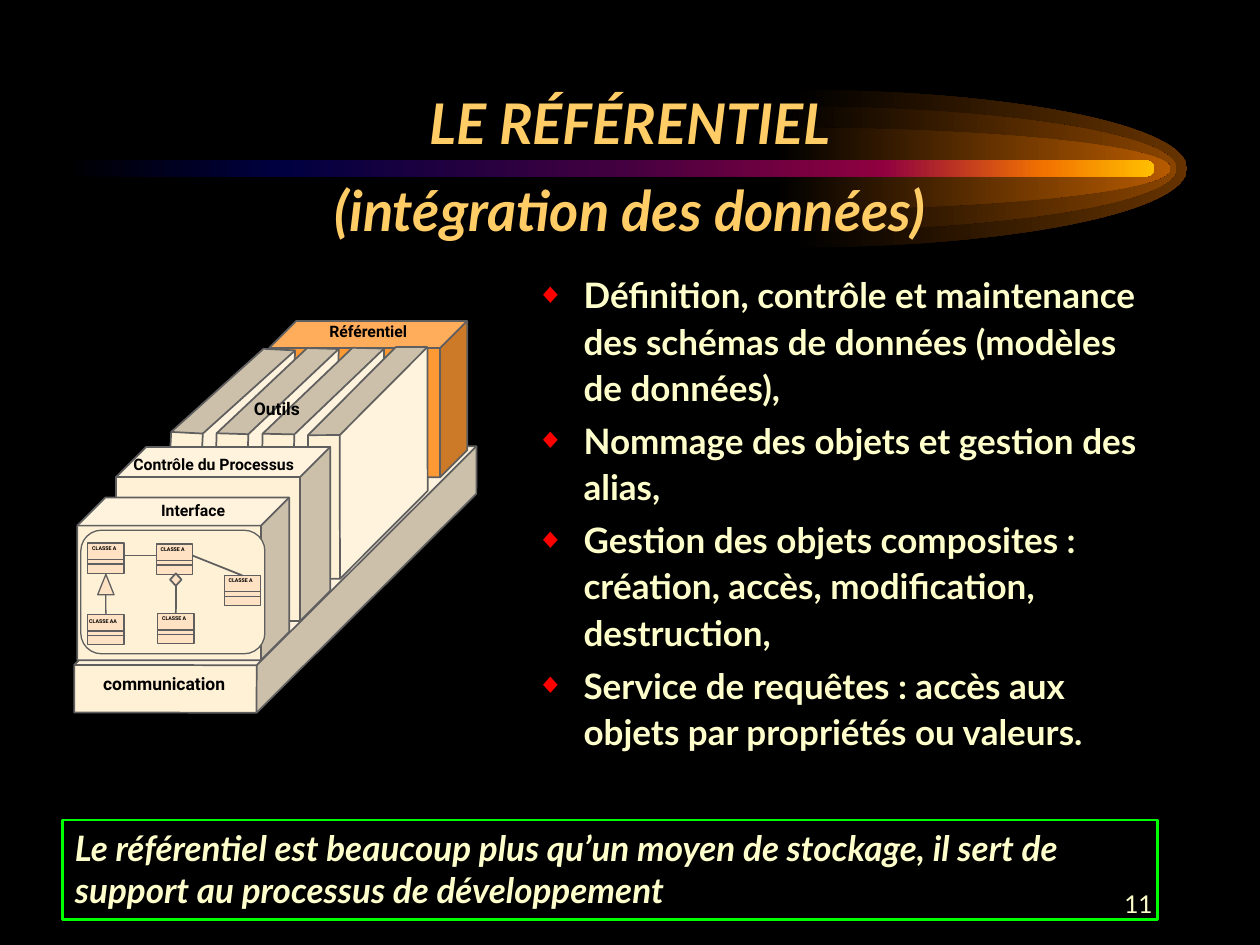
"""Build the slide on the repository and data integration."""
from lxml.etree import SubElement
from pptx import Presentation
from pptx.dml.color import RGBColor
from pptx.enum.shapes import MSO_CONNECTOR, MSO_SHAPE
from pptx.enum.text import MSO_ANCHOR, MSO_AUTO_SIZE, PP_ALIGN
from pptx.oxml.ns import qn
from pptx.util import Cm, Pt

CREAM, PEACH, GREY, PALE = "FFF1D5", "FFE1C3", "5F5F5F", "FFFFCC"


def rgb(value):
    return RGBColor.from_string(value)


class Deck:
    def __init__(self):
        self.prs = Presentation()
        self.prs.slide_width, self.prs.slide_height = Cm(25.4), Cm(19.05)
        self.s = self.prs.slides.add_slide(self.prs.slide_layouts[1])
        fill = self.s.background.fill
        fill.solid()
        fill.fore_color.rgb = rgb("000000")

    def gradient(self, sp, stops):
        sp.shadow.inherit = False
        sp.line.fill.background()
        sp.fill.gradient()
        sp.fill.gradient_angle = 0
        gs_list = sp._element.spPr.find(qn("a:gradFill")).find(qn("a:gsLst"))
        gs_list.clear()
        for pos, color in stops:
            gs = SubElement(gs_list, qn("a:gs"), pos=str(pos * 1000))
            SubElement(gs, qn("a:srgbClr"), val=color)

    def half_ellipse(self, x, y, rx, ry, color):
        builder = self.s.shapes.build_freeform(Cm(x), Cm(y - ry))
        builder.add_line_segments([(Cm(x + rx), Cm(y)), (Cm(x), Cm(y + ry))])
        sp = builder.convert_to_shape()
        outline = next(sp._element.iter(qn("a:path")))
        k = 0.55
        curves = ([(k, 0), (1, 1 - k), (1, 1)], [(1, 1 + k), (k, 2), (0, 2)])
        for segment, curve in zip(outline.findall(qn("a:lnTo")), curves):
            bezier = SubElement(outline, qn("a:cubicBezTo"))
            for px, py in curve:
                SubElement(bezier, qn("a:pt"), x=str(Cm(px * rx)), y=str(Cm(py * ry)))
            outline.replace(segment, bezier)
        self.gradient(sp, [(0, "000000"), (100, color)])

    def shape(self, kind, x, y, w, h, fill=None, line=GREY, width=1, adj=None, rot=0, flip=False):
        sp = self.s.shapes.add_shape(kind, Cm(x), Cm(y), Cm(w), Cm(h))
        sp.shadow.inherit = False
        if fill:
            sp.fill.solid()
            sp.fill.fore_color.rgb = rgb(fill)
        else:
            sp.fill.background()
        sp.line.color.rgb = rgb(line)
        sp.line.width = Pt(width)
        if adj is not None:
            sp.adjustments[0] = adj
        sp.rotation = rot
        if flip:
            sp._element.spPr.xfrm.set("flipV", "1")
        return sp

    def cube(self, x, y, w, h, adj=0.173, fill=CREAM, **kw):
        return self.shape(MSO_SHAPE.CUBE, x, y, w, h, fill, adj=adj, **kw)

    def line(self, x1, y1, x2, y2, width=0.75, begin=None, end=None):
        cn = self.s.shapes.add_connector(MSO_CONNECTOR.STRAIGHT, Cm(x1), Cm(y1), Cm(x2), Cm(y2))
        cn.line.color.rgb = rgb(GREY)
        cn.line.width = Pt(width)
        SubElement(cn._element.spPr, qn("a:effectLst"))
        if begin:
            cn.begin_connect(*begin)
        if end:
            cn.end_connect(*end)

    def run(self, p, text, size, color, font="Lato", bold=True, italic=False):
        r = p.add_run()
        r.text = text
        r.font.size, r.font.name = Pt(size), font
        r.font.bold, r.font.italic = bold, italic
        r.font.color.rgb = rgb(color)

    def text(self, x, y, w, h, text, size=9, color="000000", font="Roboto", bold=True,
             align=PP_ALIGN.LEFT, anchor=MSO_ANCHOR.TOP, inset=True):
        tf = self.s.shapes.add_textbox(Cm(x), Cm(y), Cm(w), Cm(h)).text_frame
        tf.word_wrap = False
        tf.vertical_anchor = anchor
        if not inset:
            tf.margin_left = tf.margin_right = tf.margin_top = tf.margin_bottom = 0
        p = tf.paragraphs[0]
        p.alignment = align
        self.run(p, text, size, color, font, bold)

    def placeholder(self, idx, x, y, w, h):
        sp = self.s.placeholders[idx]
        sp.left, sp.top, sp.width, sp.height = Cm(x), Cm(y), Cm(w), Cm(h)
        self.s.shapes._spTree.append(sp._element)
        tf = sp.text_frame
        tf.word_wrap = True
        tf.auto_size = MSO_AUTO_SIZE.NONE
        tf.vertical_anchor = MSO_ANCHOR.TOP
        return tf

    def title(self, lines, *box):
        p = self.placeholder(0, *box).paragraphs[0]
        p.alignment = PP_ALIGN.CENTER
        p.line_spacing = 1.3
        for i, text in enumerate(lines):
            if i:
                p.add_line_break()
            self.run(p, text, 32, "FFCC66", italic=True)

    def bullets(self, items, *box):
        tf = self.placeholder(1, *box)
        for i, text in enumerate(items):
            p = tf.add_paragraph() if i else tf.paragraphs[0]
            p.line_spacing = 1.1
            p.space_before = Pt(4)
            pPr = p._p.get_or_add_pPr()
            pPr.set("marL", str(Cm(0.95)))
            pPr.set("indent", str(Cm(-0.95)))
            SubElement(SubElement(pPr, qn("a:buClr")), qn("a:srgbClr"), val="FF0000")
            SubElement(pPr, qn("a:buSzPct"), val="80000")
            SubElement(pPr, qn("a:buChar"), char="◆")
            self.run(p, text, 20, PALE)

    def note(self, text, *box):
        tf = self.shape(MSO_SHAPE.RECTANGLE, *box, line="00FF00", width=1.5).text_frame
        tf.word_wrap = True
        tf.vertical_anchor = MSO_ANCHOR.TOP
        p = tf.paragraphs[0]
        p.alignment = PP_ALIGN.LEFT
        self.run(p, text, 20, PALE, italic=True)

    def class_box(self, x, y, name="CLASSE A", dx=0.16, dy=0.09, label_width=1.07):
        w, h = 0.73, 0.61
        sp = self.shape(MSO_SHAPE.RECTANGLE, x, y, w, h, PEACH, width=0.75)
        for rule in (0.33, 0.42):
            self.line(x, y + rule, x + w, y + rule)
        self.text(x - dx, y - dy, label_width, 0.38, name, 3)
        return sp


def main():
    d = Deck()
    for x, ry, color in ((15.98, 1.59, "663300"), (15.77, 1.26, "894400"), (15.65, 0.83, "B75B00")):
        d.half_ellipse(x, 3.4, 7.95, ry, color)
    beam = d.shape(MSO_SHAPE.ROUNDED_RECTANGLE, 1.27, 3.23, 22, 0.33, adj=0.5)
    d.gradient(beam, [(0, "000000"), (20, "000040"), (50, "400040"),
                      (75, "8F0040"), (90, "F27300"), (100, "FFBF00")])

    d.text(18.21, 17.58, 5.28, 1.27, "11", 14, PALE, "Lato", False,
           PP_ALIGN.RIGHT, MSO_ANCHOR.MIDDLE)
    d.title(["LE RÉFÉRENTIEL", "(intégration des données)"], 1.91, 1.25, 21.59, 3.18)
    d.bullets([
        "Définition, contrôle et maintenance des schémas de données (modèles de données),",
        "Nommage des objets et gestion des alias,",
        "Gestion des objets composites : création, accès, modification, destruction,",
        "Service de requêtes : accès aux objets par propriétés ou valeurs.",
    ], 10.56, 5.31, 13.11, 11.43)
    d.note("Le référentiel est beaucoup plus qu’un moyen de stockage, il sert de "
           "support au processus de développement", 1.26, 16.53, 22.08, 2.01)

    d.cube(1.5, 8.99, 8.1, 5.38, 0.822, rot=0.1)
    d.cube(5.43, 6.47, 3.99, 3.15, fill="FF9933")
    for i, rot in enumerate((273, 271.7, 271.3, 269.9)):
        d.cube(2.29 + 0.93 * i, 8.13, 4.67, 2.41, 0.735, rot=rot, flip=True)
    d.cube(2.34, 9.01, 4.32, 3.51)
    d.cube(1.56, 10.03, 4.27, 3.28)

    d.text(6.39, 6.37, 2.13, 0.64, "Référentiel")
    d.text(3, 9.96, 1.83, 0.64, "Interface")
    d.text(2.44, 9.04, 3.99, 0.64, "Contrôle du Processus")
    d.text(5.12, 8.03, 0.99, 0.43, "Outils", 10, inset=False)
    d.text(1.83, 13.44, 3.1, 0.69, "communication", 10)

    d.shape(MSO_SHAPE.ROUNDED_RECTANGLE, 1.63, 10.69, 3.71, 2.49, CREAM, width=0.75, adj=0.167)
    d.class_box(1.77, 10.95)
    child = d.class_box(1.77, 12.39, "CLASSE AA", 0.22, 0.05, 1.14)
    d.class_box(3.15, 10.97)
    part = d.class_box(3.18, 12.37)
    linked = d.class_box(4.52, 11.6)
    d.line(2.13, 11.96, 2.13, 12.39, end=(child, 0))
    d.shape(MSO_SHAPE.ISOSCELES_TRIANGLE, 1.97, 11.58, 0.33, 0.41, PEACH, width=0.75)
    d.line(3.15, 11.2, 2.5, 11.2, 1)
    d.line(3.55, 12.37, 3.55, 11.58, 1, begin=(part, 0))
    d.shape(MSO_SHAPE.DIAMOND, 3.43, 11.56, 0.23, 0.25, PEACH)
    d.line(3.88, 11.2, 4.88, 11.6, 1, end=(linked, 0))
    d.prs.save("out.pptx")


if __name__ == "__main__":
    main()
